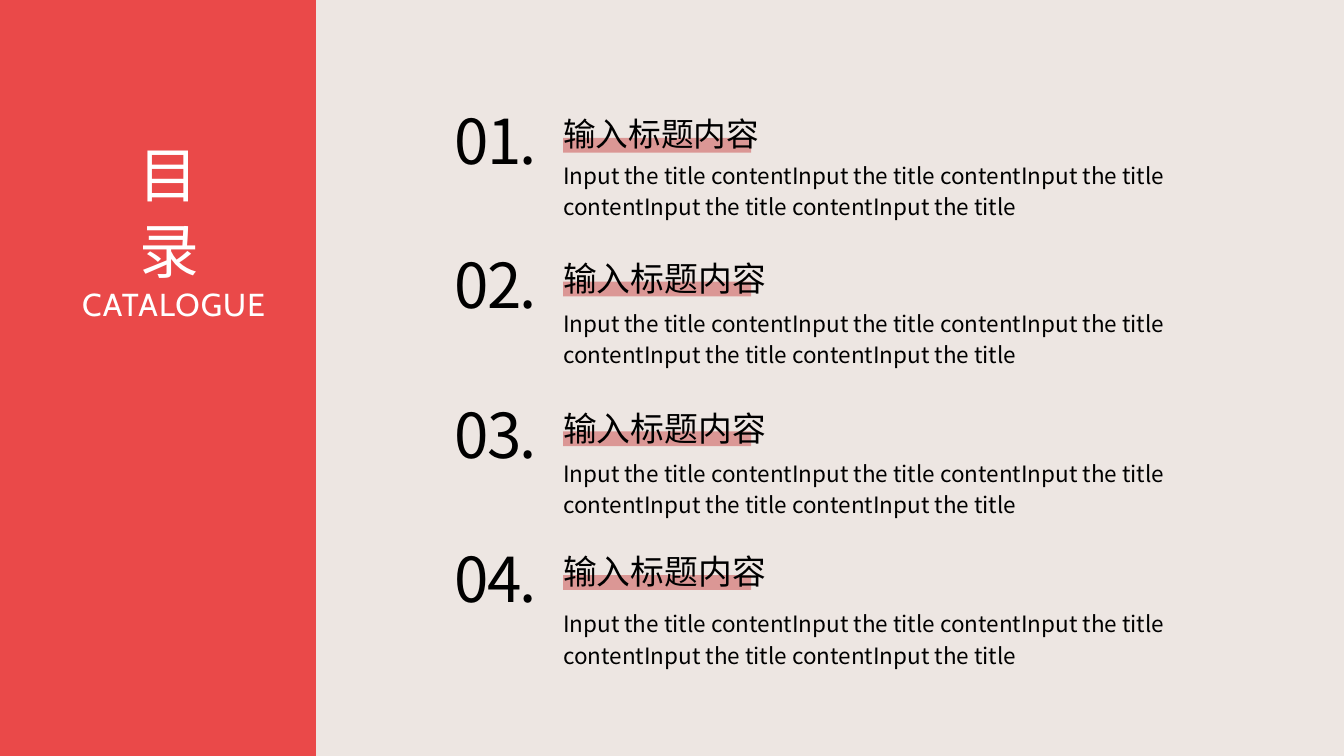
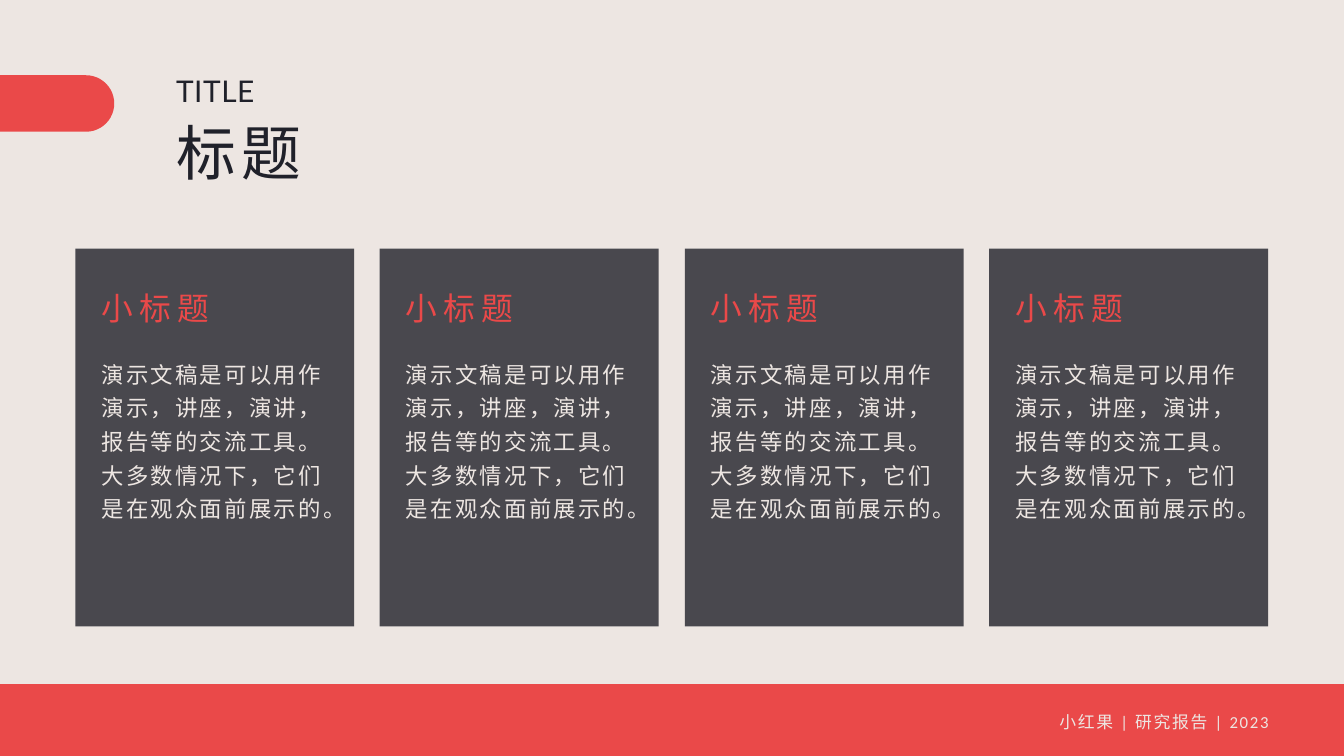
import pptx
import pptx.dml.color
import pptx.enum.shapes
import pptx.enum.text
import pptx.oxml.ns
import pptx.util
from lxml import etree

RGB = pptx.dml.color.RGBColor
SHAPE = pptx.enum.shapes.MSO_SHAPE
ALIGN = pptx.enum.text.PP_ALIGN

PX = 9144  # EMU per px: 100 px to the inch
WIDTH, HEIGHT = 2000, 1125
TITLE_ONLY = 5

CREAM = RGB(0xED, 0xE6, 0xE2)
RED = RGB(0xEA, 0x49, 0x49)
DARK_RED = RGB(0xBB, 0x01, 0x01)
INK = RGB(0x20, 0x21, 0x2A)
BLACK = RGB(0, 0, 0)
WHITE = RGB(0xFF, 0xFF, 0xFF)

CALIBRI = "Calibri"
NOTO = "Noto Sans CJK SC"

ENTRY_HEADING = "输入标题内容"
ENTRY_BODY = "Input the title content" * 4 + "Input the title"
# top, heading size, distance from top to body text
ENTRIES = [(129, 35, 105), (343, 36.2, 112), (566, 36.2, 112), (780, 36.2, 122)]

CARD_COUNT, CARD_WIDTH, CARD_INSET = 4, 415, 39
CARDS_LEFT, CARDS_RIGHT = 112, 1887
CARD_HEADING = "小标题"
CARD_BODY = ("演示文稿是可以用作演示，讲座，演讲，报告等的交流工具。 "
             "大多数情况下，它们是在观众面前展示的。")


def place(shape, left, top, width, height):
    shape.left, shape.top = left * PX, top * PX
    shape.width, shape.height = width * PX, height * PX


def write(shape, text, size, line, font, color, spacing=0, align=ALIGN.LEFT):
    """Fill a shape with one paragraph; line and spacing are in points."""
    frame = shape.text_frame
    frame.word_wrap = True
    frame.auto_size = pptx.enum.text.MSO_AUTO_SIZE.NONE
    frame.vertical_anchor = pptx.enum.text.MSO_ANCHOR.TOP
    frame.margin_left = frame.margin_top = 0
    frame.margin_right = frame.margin_bottom = 0
    para = frame.paragraphs[0]
    para.text = text
    para.alignment = align
    para.line_spacing = pptx.util.Pt(line)
    para.space_before = pptx.util.Pt(0)
    para.font.size = pptx.util.Pt(size)
    para.font.name = font
    para.font.color.rgb = color
    properties = para._p.get_or_add_pPr().get_or_add_defRPr()
    properties.set("spc", str(round(spacing * 100)))
    east_asian = etree.SubElement(properties, pptx.oxml.ns.qn("a:ea"))
    east_asian.set("typeface", font)


def add_text(slide, area, text, *style, **options):
    box = slide.shapes.add_textbox(0, 0, 0, 0)
    place(box, *area)
    write(box, text, *style, **options)


def set_title(slide, area, text, *style, **options):
    """Format the title placeholder and bring it in front of earlier shapes."""
    title = slide.shapes.title
    place(title, *area)
    write(title, text, *style, **options)
    slide.shapes._spTree.append(title._element)


def add_block(slide, area, color, opacity=100, kind=SHAPE.RECTANGLE):
    block = slide.shapes.add_shape(kind, 0, 0, 0, 0)
    place(block, *area)
    block.shadow.inherit = False
    block.line.fill.background()
    block.fill.solid()
    block.fill.fore_color.rgb = color
    if opacity < 100:
        tone = block._element.spPr.find(".//" + pptx.oxml.ns.qn("a:srgbClr"))
        alpha = etree.SubElement(tone, pptx.oxml.ns.qn("a:alpha"))
        alpha.set("val", str(opacity * 1000))
    return block


def add_entry(slide, number, top, heading_size, body_offset):
    add_block(slide, (838, top + 76, 280, 22), DARK_RED, 34)
    add_text(slide, (677, top, 168, 128), f"{number:02}.",
             66.3, 96.9, NOTO, BLACK, spacing=-2.3)
    add_text(slide, (838, top + 30, 330, 71), ENTRY_HEADING,
             heading_size, round(heading_size * 1.4, 1), CALIBRI, BLACK)
    add_text(slide, (838, top + body_offset, 902, 136), ENTRY_BODY,
             24.1, 33.6, NOTO, BLACK)


def add_card(slide, left):
    add_block(slide, (left, 370, CARD_WIDTH, 562), INK, 80)
    text_left, text_width = left + CARD_INSET, CARD_WIDTH - 2 * CARD_INSET
    add_text(slide, (text_left, 421, text_width, 61), CARD_HEADING,
             34, 47.6, CALIBRI, RED, spacing=6.8)
    add_text(slide, (text_left, 527, text_width, 296), CARD_BODY,
             24, 36, CALIBRI, CREAM, spacing=2.4)


def add_footer(slide):
    add_block(slide, (0, 1018, WIDTH, 107), RED)
    add_text(slide, (640, 1052, 1248, 35), "小红果 | 研究报告 | 2023",
             18, 27, CALIBRI, CREAM, spacing=1.8, align=ALIGN.RIGHT)


def build_catalogue(slide):
    add_block(slide, (0, 0, 470, HEIGHT), RED)
    set_title(slide, (199, 200, 106, 376), "目录",
              64, 80.7, CALIBRI, WHITE, spacing=2.4, align=ALIGN.CENTER)
    add_text(slide, (118, 421, 281, 60), "CATALOGUE",
             34, 42.8, "Cabin", WHITE, spacing=1.3, align=ALIGN.CENTER)
    for number, entry in enumerate(ENTRIES, start=1):
        add_entry(slide, number, *entry)


def build_cards(slide):
    add_footer(slide)
    tab = add_block(slide, (-99, 112, 269, 84), RED, kind=SHAPE.ROUNDED_RECTANGLE)
    tab.adjustments[0] = 0.5
    pitch = (CARDS_RIGHT - CARD_WIDTH - CARDS_LEFT) / (CARD_COUNT - 1)
    for index in range(CARD_COUNT):
        add_card(slide, CARDS_LEFT + round(index * pitch))
    set_title(slide, (262, 154, 986, 112), "标题",
              64, 89.6, CALIBRI, INK, spacing=6.4)
    add_text(slide, (262, 117, 1000, 48), "TITLE",
             32, 32, "Lato", INK, spacing=0.6)


def main():
    deck = pptx.Presentation()
    deck.slide_width, deck.slide_height = WIDTH * PX, HEIGHT * PX
    background = deck.slide_master.background.fill
    background.solid()
    background.fore_color.rgb = CREAM
    for build in (build_catalogue, build_cards):
        build(deck.slides.add_slide(deck.slide_layouts[TITLE_ONLY]))
    deck.save("out.pptx")


if __name__ == "__main__":
    main()
